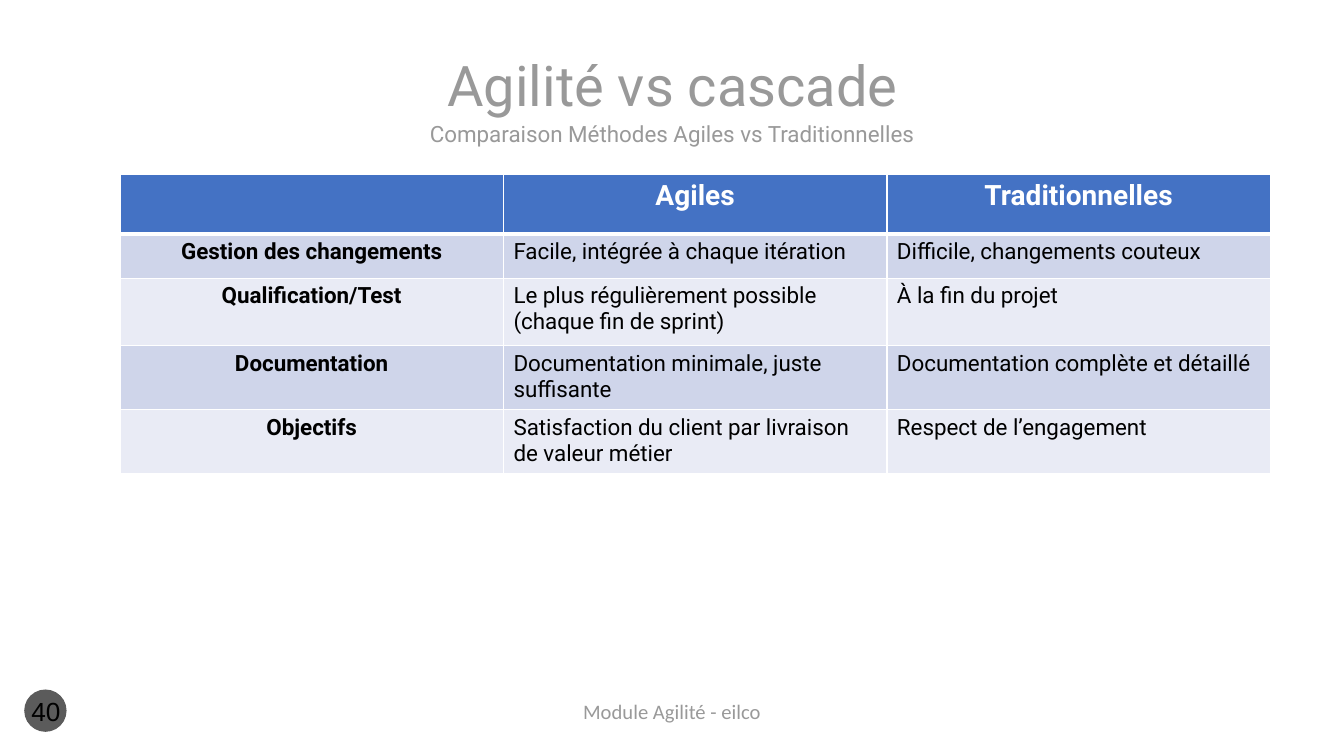
from dataclasses import dataclass

from lxml import etree
from pptx import Presentation
from pptx import util as u
from pptx.dml.color import RGBColor
from pptx.enum import shapes, text
from pptx.oxml import ns


@dataclass(frozen=True)
class Theme:
    grey: str = "999999"
    badge: str = "5B5B5B"
    head: str = "4472C4"
    bands: tuple = ("CFD5EA", "E9EBF5")
    white: str = "FFFFFF"
    black: str = "000000"
    font: str = "Roboto"
    title: float = 40
    header: float = 20
    body: float = 16
    foot: float = 14.7
    page: float = 18.7


class Deck:
    def __init__(self, theme):
        self.theme = theme
        self.prs = Presentation()
        self.prs.slide_width = u.Inches(13.33)
        self.prs.slide_height = u.Inches(7.5)
        self.slide = self.prs.slides.add_slide(self.prs.slide_layouts[6])

    def words(self, frame, words, size, color, font=None, bold=False, center=True):
        para = frame.paragraphs[0]
        para.alignment = text.PP_ALIGN.CENTER if center else text.PP_ALIGN.LEFT
        run = para.add_run()
        run.text = words
        run.font.size = u.Pt(size)
        run.font.name = font or self.theme.font
        run.font.bold = bold
        run.font.color.rgb = RGBColor.from_string(color)

    def label(self, box, words, size, color, font=None, inset=(0.1, 0.1), middle=True):
        frame = self.slide.shapes.add_textbox(*map(u.Inches, box)).text_frame
        frame.word_wrap = True
        frame.margin_left = frame.margin_right = u.Inches(inset[0])
        frame.margin_top = frame.margin_bottom = u.Inches(inset[1])
        anchor = text.MSO_ANCHOR
        frame.vertical_anchor = anchor.MIDDLE if middle else anchor.TOP
        self.words(frame, words, size, color, font)

    def disc(self, box, color):
        disc = self.slide.shapes.add_shape(shapes.MSO_SHAPE.OVAL, *map(u.Inches, box))
        disc.shadow.inherit = False
        disc.fill.solid()
        disc.fill.fore_color.rgb = RGBColor.from_string(color)
        disc.line.fill.background()

    def border(self, cell, bottom):
        props = cell._tc.get_or_add_tcPr()
        widths = {"lnL": 1, "lnR": 1, "lnT": 1, "lnB": bottom}
        for spot, (side, width) in enumerate(widths.items()):
            line = etree.Element(ns.qn(f"a:{side}"), w=str(u.Pt(width)))
            fill = etree.SubElement(line, ns.qn("a:solidFill"))
            etree.SubElement(fill, ns.qn("a:srgbClr"), val=self.theme.white)
            props.insert(spot, line)

    def cell(self, cell, words, row, col):
        theme = self.theme
        head = row == 0
        cell.fill.solid()
        color = theme.head if head else theme.bands[(row - 1) % 2]
        cell.fill.fore_color.rgb = RGBColor.from_string(color)
        self.border(cell, 3 if head else 1)
        if words:
            size = theme.header if head else theme.body
            ink = theme.white if head else theme.black
            strong = head or col == 0
            self.words(cell.text_frame, words, size, ink, bold=strong, center=strong)

    def table(self, left, top, width, heights, rows):
        count = len(rows[0])
        box = map(u.Inches, (left, top, width, sum(heights)))
        table = self.slide.shapes.add_table(len(rows), count, *box).table
        for col in table.columns:
            col.width = u.Inches(width / count)
        for row, (height, line) in enumerate(zip(heights, rows)):
            table.rows[row].height = u.Inches(height)
            for col, words in enumerate(line):
                self.cell(table.cell(row, col), words, row, col)


def main():
    theme = Theme()
    deck = Deck(theme)
    deck.disc((0.24, 6.84, 0.42, 0.42), theme.badge)
    deck.label((1.01, 6.93, 11.31, 0.4), "Module Agilité - eilco", theme.foot,
               theme.grey, "Calibri", (0, 0), False)
    deck.label((0.12, 6.85, 0.67, 0.4), "40", theme.page, theme.black, "Arial", (0.13, 0.07))
    deck.label((3.96, 1.23, 5.41, 0.19), "Comparaison Méthodes Agiles vs Traditionnelles",
               theme.body, theme.grey)
    deck.label((2.53, 0.56, 8.28, 0.54), "Agilité vs cascade", theme.title, theme.grey)
    rows = [
        ("", "Agiles", "Traditionnelles"),
        ("Gestion des changements", "Facile, intégrée à chaque itération",
         "Difficile, changements couteux"),
        ("Qualification/Test", "Le plus régulièrement possible (chaque fin de sprint)",
         "À la fin du projet"),
        ("Documentation", "Documentation minimale, juste suffisante",
         "Documentation complète et détaillé"),
        ("Objectifs", "Satisfaction du client par livraison de valeur métier",
         "Respect de l’engagement"),
    ]
    deck.table(1.19, 1.73, 11.41, (0.59, 0.44, 0.67, 0.59, 0.59), rows)
    deck.prs.save("out.pptx")


if __name__ == "__main__":
    main()
